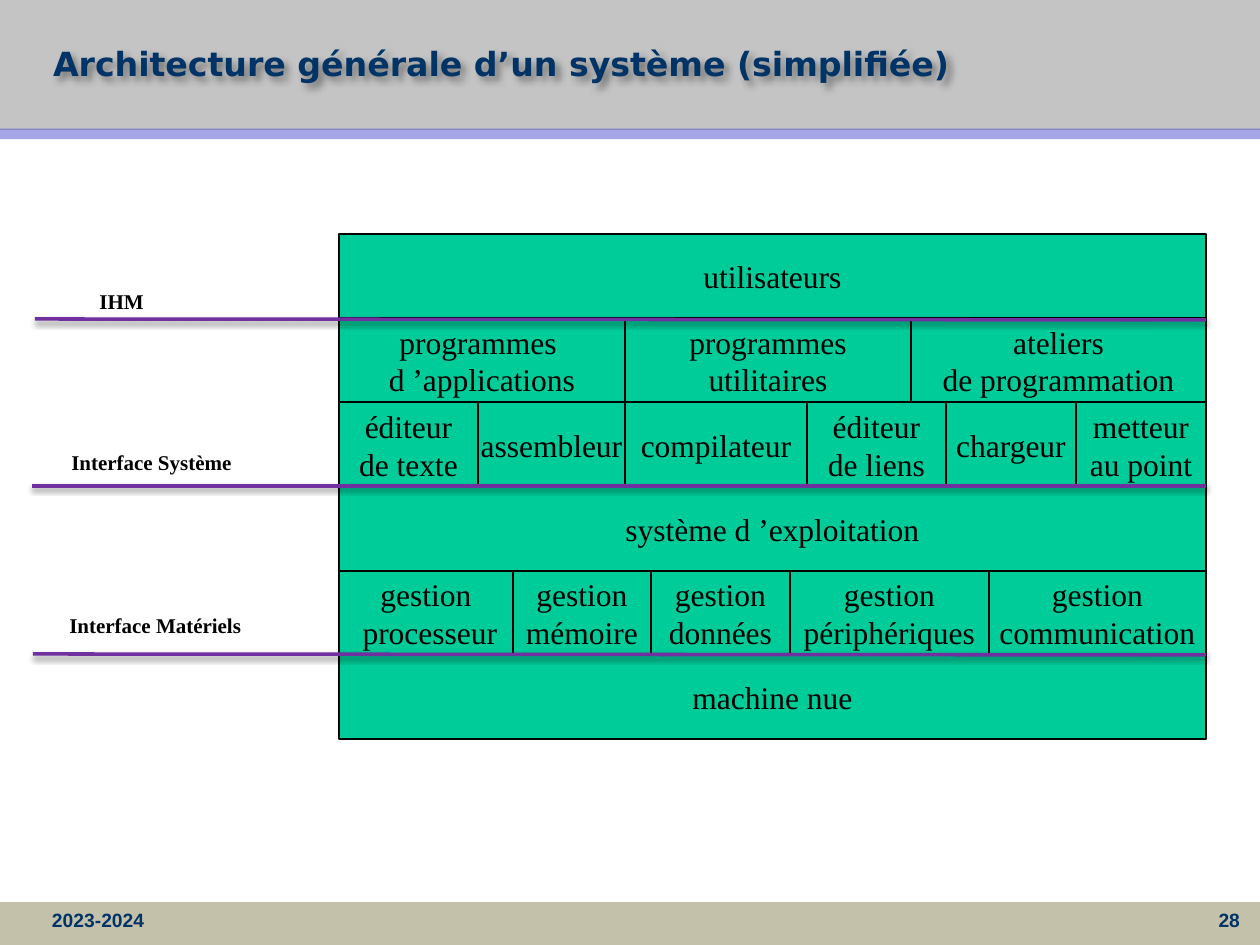
"""Build the slide on the simplified general architecture of a system."""
from lxml import etree
from pptx import Presentation
from pptx import util as u
from pptx.dml.color import RGBColor
from pptx.enum import shapes, text
from pptx.oxml.ns import qn

EMU_PER_PX = 914400 / 126
COLORS = {
    "header": "C4C4C4", "footer": "C4C1AA", "band": "3333CC", "navy": "003366",
    "cell": "00CC99", "black": "000000", "interface": "7030A0",
}
SERIF = "Times New Roman"
TITLE = "Architecture générale d’un système (simplifiée)"
FOOTERS = [("2023-2024", 42, text.PP_ALIGN.LEFT), ("28", 988, text.PP_ALIGN.RIGHT)]
LAYERS = [
    [("utilisateurs", 867)],
    [("programmes \nd ’applications", 286), ("programmes\nutilitaires", 286),
     ("ateliers\nde programmation", 295)],
    [("éditeur\nde texte", 139), ("assembleur", 147), ("compilateur", 182),
     ("éditeur\nde liens", 139), ("chargeur", 130), ("metteur\nau point", 130)],
    [("système d ’exploitation", 867)],
    [("gestion\n processeur", 174), ("gestion\nmémoire", 138), ("gestion\ndonnées", 139),
     ("gestion\npériphériques", 199), ("gestion\ncommunication", 217)],
    [("machine nue", 867)],
]
STACK_LEFT, STACK_TOP, STACK_RIGHT, LAYER_HEIGHT = 339, 234, 1206, 84.2
INTERFACES = [
    ("IHM", (87, 282, 71, 38), (35, 319), 320),
    ("Interface Système", (59, 443, 188, 38), (32, 486), 486),
    ("Interface Matériels", (57, 606, 200, 38), (33, 654), 655),
]


def px(value):
    return u.Emu(round(value * EMU_PER_PX))


def color(name):
    return RGBColor.from_string(COLORS[name])


def write(shape, content, size, font, ink, bold=False, align=text.PP_ALIGN.LEFT):
    frame = shape.text_frame
    frame.text = content
    for para in frame.paragraphs:
        para.alignment = align
        for span in para.runs:
            span.font.size = u.Pt(size)
            span.font.name = font
            span.font.bold = bold
            span.font.color.rgb = color(ink)
    return frame


def set_insets(frame):
    frame.margin_left = frame.margin_right = px(10)
    frame.margin_top = frame.margin_bottom = px(5)


def add_box(page, area, fill, line=None, width=1):
    box = page.shapes.add_shape(shapes.MSO_SHAPE.RECTANGLE, *map(px, area))
    box.shadow.inherit = False
    box.fill.solid()
    box.fill.fore_color.rgb = color(fill)
    if line:
        box.line.color.rgb = color(line)
        box.line.width = u.Pt(width)
    else:
        box.line.fill.background()
    return box


def add_line(page, start, end, ink, width):
    line = page.shapes.add_connector(
        shapes.MSO_CONNECTOR.STRAIGHT, *map(px, (*start, *end)))
    line.line.color.rgb = color(ink)
    line.line.width = u.Pt(width)
    return line


def add_effects(shape, blur=0, distance=0, angle=0, opacity=0):
    effects = etree.SubElement(shape._element.spPr, qn("a:effectLst"))
    if opacity:
        shadow = etree.SubElement(
            effects, qn("a:outerShdw"), blurRad=str(u.Pt(blur)), dist=str(u.Pt(distance)),
            dir=str(angle * 60000), algn="tl", rotWithShape="0")
        ink = etree.SubElement(shadow, qn("a:srgbClr"), val=COLORS["black"])
        etree.SubElement(ink, qn("a:alpha"), val=str(opacity * 1000))


def add_frame(page):
    add_box(page, (0, 903, 1260, 42), "footer", "footer", 0.75)
    add_box(page, (0, 0, 1260, 130), "header")
    band = add_line(page, (0, 134), (1260, 134), "band", 6)
    ink = band._element.spPr.find(".//" + qn("a:srgbClr"))
    etree.SubElement(ink, qn("a:alpha"), val="43000")
    add_effects(band)
    for content, left, align in FOOTERS:
        box = page.shapes.add_textbox(*map(px, (left, 903, 262, 42)))
        frame = write(box, content, 11, "Arial", "navy", True, align)
        frame.word_wrap = True
        set_insets(frame)


def add_title(page):
    title = page.shapes.title
    title.left, title.top, title.width, title.height = map(px, (43, 0, 1207, 126))
    frame = write(title, TITLE, 19, "DejaVu Sans", "navy", True)
    frame.vertical_anchor = text.MSO_ANCHOR.MIDDLE
    frame.auto_size = text.MSO_AUTO_SIZE.NONE
    set_insets(frame)
    add_effects(title, 4, 3, 45, 40)
    page.shapes._spTree.append(title._element)


def add_stack(page):
    for row, layer in enumerate(LAYERS):
        left = STACK_LEFT
        for content, width in layer:
            area = (left, STACK_TOP + row * LAYER_HEIGHT, width, LAYER_HEIGHT)
            cell = add_box(page, area, "cell", "black")
            frame = write(cell, content, 18, SERIF, "black", align=text.PP_ALIGN.CENTER)
            frame.vertical_anchor = text.MSO_ANCHOR.MIDDLE
            frame.word_wrap = False
            left += width


def add_interfaces(page):
    for content, area, start, end_y in INTERFACES:
        line = add_line(page, start, (STACK_RIGHT, end_y), "interface", 2)
        add_effects(line, 3.1, 1.6, 90, 38)
        label = page.shapes.add_textbox(*map(px, area))
        frame = write(label, content, 12, SERIF, "black", True)
        frame.word_wrap = False
        frame.auto_size = text.MSO_AUTO_SIZE.SHAPE_TO_FIT_TEXT


def main():
    deck = Presentation()
    deck.slide_width, deck.slide_height = px(1260), px(945)
    page = deck.slides.add_slide(deck.slide_layouts[5])
    add_frame(page)
    add_title(page)
    add_stack(page)
    add_interfaces(page)
    deck.save("out.pptx")


if __name__ == "__main__":
    main()
